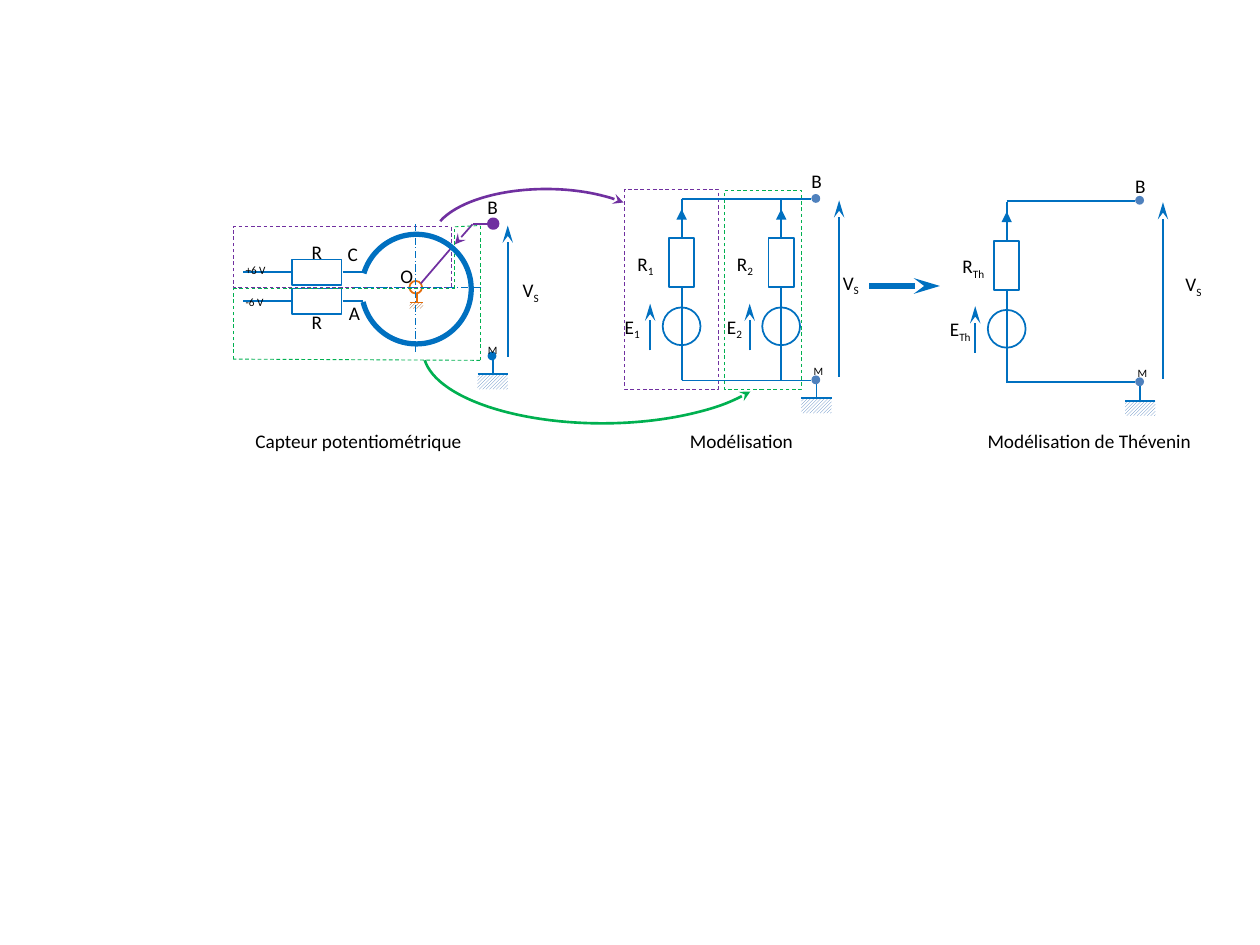
from pptx import Presentation
from pptx.dml.color import RGBColor
from pptx.enum.dml import MSO_LINE_DASH_STYLE as DASH, MSO_PATTERN
from pptx.enum.shapes import MSO_CONNECTOR, MSO_SHAPE
from pptx.enum.text import PP_ALIGN
from pptx.oxml.ns import qn
from pptx.util import Inches, Pt
from lxml import etree

BLUE = RGBColor(0x00, 0x70, 0xC0)
STEEL = RGBColor(0x4F, 0x81, 0xBD)
PURPLE = RGBColor(0x70, 0x30, 0xA0)
GREEN = RGBColor(0x00, 0xB0, 0x50)
ORANGE = RGBColor(0xE4, 0x6C, 0x0A)
BROWN = RGBColor(0x98, 0x48, 0x07)
BLACK = RGBColor(0x00, 0x00, 0x00)
WHITE = RGBColor(0xFF, 0xFF, 0xFF)
RECT, OVAL, ARC = MSO_SHAPE.RECTANGLE, MSO_SHAPE.OVAL, MSO_SHAPE.ARC
CENTER, LEFT = PP_ALIGN.CENTER, PP_ALIGN.LEFT

presentation = Presentation()
presentation.slide_width, presentation.slide_height = Inches(10), Inches(7.5)
slide = presentation.slides.add_slide(presentation.slide_layouts[6])


def set_line(shape, color, width, dash=None, arrow=None, length="med", end="tailEnd"):
    line = shape.line
    line.color.rgb = color
    line.width = Pt(width)
    if dash:
        line.dash_style = dash
    if arrow:
        etree.SubElement(line._get_or_add_ln(), qn("a:" + end), type=arrow, w="med", len=length)


def add_shape(kind, left, top, width, height):
    shape = slide.shapes.add_shape(kind, Inches(left), Inches(top), Inches(width), Inches(height))
    shape.shadow.inherit = False
    shape.fill.background()
    shape.line.fill.background()
    return shape


# Sensor: wires, axes, wiper and output voltage
wire = (BLUE, 1)
voltage = (BLUE, 1, None, "stealth", "lg")
axis = (BLUE, 0.5, DASH.LONG_DASH_DOT)
lines = [
    (3.3, 1.78, 3.3, 2.81, axis),
    (3.82, 2.28, 2.8, 2.28, axis),
    (3.31, 2.4, 3.31, 2.33, (ORANGE, 1)),
    (3.25, 2.4, 3.36, 2.4, (ORANGE, 1)),
    (3.58, 1.97, 3.34, 2.25, (PURPLE, 1)),
    (3.75, 1.78, 3.61, 1.94, (PURPLE, 1, None, "stealth")),
    (3.75, 1.78, 3.9, 1.78, (PURPLE, 1)),
    (4.03, 2.83, 4.03, 1.79, voltage),
    (6.9, 2.27, 7.46, 2.27, (BLUE, 3, None, "stealth", "lg")),
]
outlines = [(OVAL, 3.25, 2.23, 0.1, 0.1, (ORANGE, 1))]
hatches = [(3.25, 2.4, 0.11, 0.05, BROWN)]
dots = [(3.88, 1.74, PURPLE), (3.87, 2.79, BLUE)]

# Labels: left, top, width, height, alignment, text, subscript
labels = [
    (3.77, 1.5, 0.55, 0.29, LEFT, "B", ""),
    (3.75, 2.57, 0.32, 0.22, CENTER, "", "M"),
    (2.66, 1.87, 0.55, 0.29, LEFT, "C", ""),
    (2.67, 2.34, 0.55, 0.29, LEFT, "A", ""),
    (3.08, 2.05, 0.55, 0.29, LEFT, "O", ""),
]
for left, caption in [(1.92, "Capteur potentiométrique"), (4.96, "Modélisation"),
                      (7.72, "Modélisation de Thévenin")]:
    labels.append((left, 3.36, 1.85, 0.29, CENTER, caption, ""))
for left, top in [(4.05, 2.16), (6.59, 2.1), (9.31, 2.11)]:
    labels.append((left, top, 0.55, 0.29, LEFT, "V", "S"))

# Sensor supply resistors
for y, supply, supply_top, name_top in [(2.16, "+6 V", 1.94, 1.86), (2.39, "-6 V", 2.19, 2.41)]:
    lines += [(1.93, y, 2.32, y, wire), (2.72, y, 2.88, y, wire)]
    outlines.append((RECT, 2.32, y - 0.1, 0.39, 0.2, wire))
    labels += [(1.85, supply_top, 0.55, 0.22, LEFT, "", supply),
               (2.24, name_top, 0.55, 0.29, CENTER, "R", "")]

# Source and resistor branches of both models
for x, dy, source_left, index in [(5.41, 0, 4.86, "1"), (6.2, 0, 5.67, "2"), (7.99, 0.02, 7.44, "Th")]:
    lines += [
        (x, 3.02 + dy, x, 2.28 + dy, wire),
        (x, 1.89 + dy, x, 1.58 + dy, wire),
        (x, 1.81 + dy, x, 1.66 + dy, (BLUE, 1, None, "triangle")),
        (x - 0.25, 2.78 + dy, x - 0.25, 2.41 + dy, voltage),
    ]
    outlines += [(RECT, x - 0.1, 1.89 + dy, 0.2, 0.39, wire),
                 (OVAL, x - 0.15, 2.44 + dy, 0.3, 0.3, wire)]
    labels += [(source_left, 2.45 + dy, 0.55, 0.29, LEFT, "E", index),
               (x - 0.45, 1.95 + dy, 0.55, 0.29, LEFT, "R", index)]

# Rails and terminals of both models
for start, x, dy, b_top in [(5.41, 6.48, 0, 1.29), (7.99, 9.05, 0.015, 1.33)]:
    for y in (1.58, 3.02):
        lines.append((start, y + dy, x - 0.04, y + dy, wire))
        dots.append((x - 0.04, y - 0.04 + dy, STEEL))
    lines.append((x + 0.18, 2.99 + dy, x + 0.18, 1.59 + dy, voltage))
    labels += [(x - 0.14, b_top, 0.55, 0.29, LEFT, "B", ""),
               (x - 0.12, 2.74 + dy, 0.55, 0.22, LEFT, "", "M")]

# Grounds
for x, top, bottom in [(3.91, 2.83, 2.97), (6.48, 3.02, 3.16), (9.05, 3.03, 3.18)]:
    lines += [(x, bottom, x, top, wire), (x - 0.12, bottom, x + 0.12, bottom, wire)]
    hatches.append((x - 0.12, bottom, 0.24, 0.12, STEEL))

# Dashed frames
for left, top, width, height, color in [(1.85, 1.8, 1.73, 0.48, PURPLE), (4.96, 1.5, 0.74, 1.59, PURPLE),
                                        (5.75, 1.51, 0.61, 1.58, GREEN)]:
    outlines.append((RECT, left, top, width, height, (color, 0.5, DASH.DASH)))
corners = [(1.85, 2.85), (1.85, 2.29), (3.61, 2.29), (3.61, 1.8), (3.81, 1.79), (3.81, 2.86)]
for (x1, y1), (x2, y2) in zip(corners, corners[1:] + corners[:1]):
    lines.append((x1, y1, x2, y2, (GREEN, 0.5, DASH.DASH)))

# Draw hatches, outlines and lines
for left, top, width, height, color in hatches:
    hatch = add_shape(RECT, left, top, width, height)
    hatch.fill.patterned()
    hatch.fill.pattern = MSO_PATTERN.LIGHT_UPWARD_DIAGONAL
    hatch.fill.fore_color.rgb = color
    hatch.fill.back_color.rgb = WHITE
for kind, left, top, width, height, style in outlines:
    set_line(add_shape(kind, left, top, width, height), *style)
for x1, y1, x2, y2, style in lines:
    connector = slide.shapes.add_connector(
        MSO_CONNECTOR.STRAIGHT, Inches(x1), Inches(y1), Inches(x2), Inches(y2))
    set_line(connector, *style)
    etree.SubElement(connector.element.spPr, qn("a:effectLst"))

# Potentiometer track and the two curved arrows
for left, top, width, height, start, end, style in [
    (2.87, 1.86, 0.87, 0.87, 117.97, 99.88, (BLUE, 3)),
    (3.43, 1.5, 1.81, 0.81, 114.04, 200.48, (PURPLE, 1.5, None, "stealth")),
    (3.36, 2.21, 2.84, 1.15, 9.2, 106.19, (GREEN, 1.5, None, "stealth", "med", "headEnd")),
]:
    arc = add_shape(ARC, left, top, width, height)
    arc.adjustments[0], arc.adjustments[1] = start, end
    set_line(arc, *style)

# Terminal dots
for left, top, color in dots:
    dot = add_shape(OVAL, left, top, 0.07, 0.07)
    dot.fill.solid()
    dot.fill.fore_color.rgb = color
    if color == PURPLE:
        set_line(dot, PURPLE, 2)

# Text
for left, top, width, height, alignment, text, subscript in labels:
    box = slide.shapes.add_textbox(Inches(left), Inches(top), Inches(width), Inches(height))
    box.text_frame.word_wrap = True
    paragraph = box.text_frame.paragraphs[0]
    paragraph.alignment = alignment
    paragraph.font.name = "Calibri"
    paragraph.font.size = Pt(11)
    paragraph.font.color.rgb = BLACK
    if text:
        paragraph.add_run().text = text
    if subscript:
        run = paragraph.add_run()
        run.text = subscript
        run.font._element.set("baseline", "-25000")

presentation.save("out.pptx")
